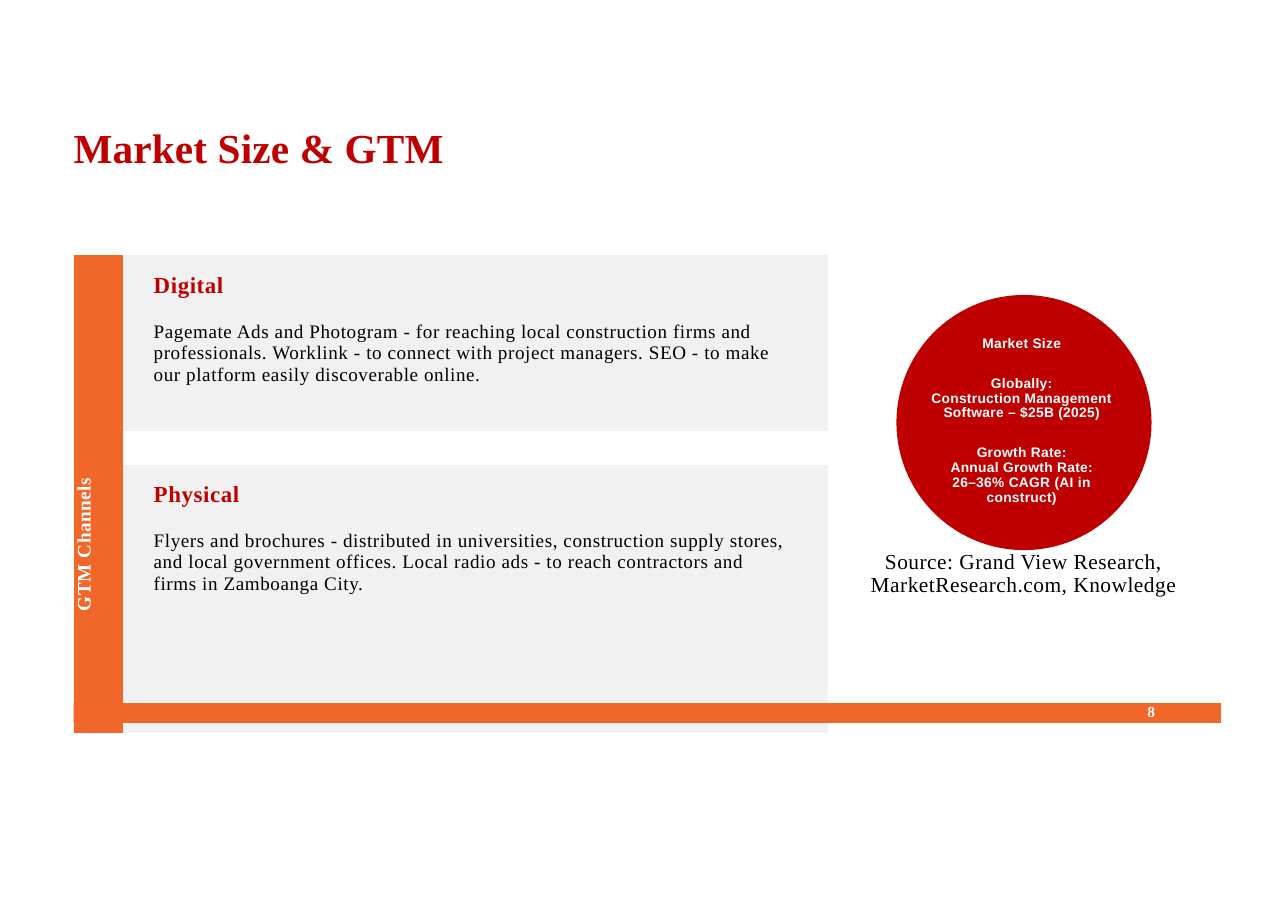
from pptx import Presentation
from pptx.dml.color import RGBColor
from pptx.enum.shapes import MSO_SHAPE
from pptx.enum.text import MSO_ANCHOR, PP_ALIGN
from pptx.util import Cm, Pt

RED, ORANGE, GREY, WHITE, BLACK = "BF0000", "F16629", "F1F1F1", "FFFFFF", "000000"
SERIF, SANS = "Times New Roman", "Arial"
PLAIN_TABLE = "{2D5ABB26-0587-4C30-8999-92F81FD0307C}"


def color(value):
    return RGBColor.from_string(value)


class SlideBuilder:
    def __init__(self, deck):
        self.slide = deck.slides.add_slide(deck.slide_layouts[5])

    def frame(self, frame, top=0, right=0):
        frame.word_wrap = True
        frame.margin_left = frame.margin_bottom = 0
        frame.margin_top, frame.margin_right = Cm(top), Cm(right)
        frame.vertical_anchor = MSO_ANCHOR.TOP
        return frame

    def paragraph(self, para, text, size, ink, name=SERIF, bold=True, spacing=0,
                  align=PP_ALIGN.LEFT, line=None, before=0):
        span = para.add_run()
        span.text = text
        if spacing:
            span.font._element.set("spc", str(round(spacing * 100)))
        para.alignment = align
        para.space_before = Pt(before)
        if line:
            para.line_spacing = Pt(line)
        font = para.font
        font.size, font.name, font.bold = Pt(size), name, bold
        font.color.rgb = color(ink)

    def title(self, text, left, top, width, height):
        box = self.slide.shapes.title
        box.left, box.top, box.width, box.height = map(Cm, (left, top, width, height))
        frame = self.frame(box.text_frame, top=1.19)
        self.paragraph(frame.paragraphs[0], text, 27, RED, spacing=0.1)

    def shape(self, kind, left, top, width, height, fill):
        shape = self.slide.shapes.add_shape(kind, *map(Cm, (left, top, width, height)))
        shape.shadow.inherit = False
        shape.fill.solid()
        shape.fill.fore_color.rgb = color(fill)
        shape.line.fill.background()
        return shape

    def text(self, left, top, width, height, lines, **style):
        """Set lines given as (text, space before)."""
        box = self.slide.shapes.add_textbox(*map(Cm, (left, top, width, height)))
        frame = self.frame(box.text_frame)
        for index, (text, before) in enumerate(lines):
            para = frame.add_paragraph() if index else frame.paragraphs[0]
            self.paragraph(para, text, before=before, **style)

    def table(self, left, top, columns, rows):
        holder = self.slide.shapes.add_table(
            len(rows), len(columns), Cm(left), Cm(top), Cm(sum(columns)), Cm(sum(rows)))
        table = holder.table
        table.first_row = table.horz_banding = False
        table._tbl.tblPr[0].text = PLAIN_TABLE
        for column, width in zip(table.columns, columns):
            column.width = Cm(width)
        for row, height in zip(table.rows, rows):
            row.height = Cm(height)
        for cell in table.iter_cells():
            cell.fill.background()
            cell.margin_left = cell.margin_right = 0
            cell.margin_top = cell.margin_bottom = 0
        return table

    def fill_cell(self, cell, fill):
        cell.fill.solid()
        cell.fill.fore_color.rgb = color(fill)

    def side_cell(self, cell, text, indent):
        self.fill_cell(cell, ORANGE)
        cell._tc.get_or_add_tcPr().set("vert", "vert270")
        cell.vertical_anchor = MSO_ANCHOR.MIDDLE
        para = cell.text_frame.paragraphs[0]
        para._p.get_or_add_pPr().set("marL", str(Cm(indent)))
        self.paragraph(para, text, 12.5, WHITE, spacing=0.4)

    def channel_cell(self, cell, heading, body):
        self.fill_cell(cell, GREY)
        cell.margin_left, cell.margin_top, cell.margin_right = Cm(0.71), Cm(0.41), Cm(0.9)
        frame = cell.text_frame
        self.paragraph(frame.paragraphs[0], heading, 15, RED, spacing=0.4)
        self.paragraph(frame.add_paragraph(), body, 12.5, BLACK, bold=False,
                       spacing=0.4, line=14.1, before=14.6)


def main():
    deck = Presentation()
    deck.slide_width, deck.slide_height = Cm(29.74), Cm(21.03)
    page = SlideBuilder(deck)

    page.title("Market Size & GTM", 1.7, 1.63, 26.49, 2.36)

    # Channels
    channels = page.table(1.7, 5.89, [1.14, 16.28], [4.06, 0.69, 6.2])
    channels.cell(0, 0).merge(channels.cell(2, 0))
    page.side_cell(channels.cell(0, 0), "GTM Channels", 2.82)
    page.channel_cell(
        channels.cell(0, 1), "Digital",
        "Pagemate Ads and Photogram - for reaching local construction firms and "
        "professionals. Worklink - to connect with project managers. SEO - to make "
        "our platform easily discoverable online.")
    page.channel_cell(
        channels.cell(2, 1), "Physical",
        "Flyers and brochures - distributed in universities, construction supply "
        "stores, and local government offices. Local radio ads - to reach contractors "
        "and firms in Zamboanga City.")

    # Market size
    page.shape(MSO_SHAPE.OVAL, 20.7, 6.81, 5.89, 5.89, RED)
    page.text(21.38, 7.77, 4.42, 3.99, [
        ("Market Size", 0),
        ("Globally:", 16.6),
        ("Construction Management Software – $25B (2025)", 0),
        ("Growth Rate:", 16.6),
        ("Annual Growth Rate:", 0),
        ("26–36% CAGR (AI in construct)", 0),
    ], size=9, ink=WHITE, name=SANS, spacing=0.2, align=PP_ALIGN.CENTER, line=9.6)
    page.text(19.99, 12.7, 7.29, 1.22, [
        ("Source: Grand View Research, MarketResearch.com, Knowledge", 0),
    ], size=14, ink=BLACK, bold=False, spacing=0.3, align=PP_ALIGN.CENTER, line=15.4)

    # Footer
    footer = page.shape(MSO_SHAPE.RECTANGLE, 1.7, 16.23, 26.49, 0.46, ORANGE)
    frame = page.frame(footer.text_frame, right=1.52)
    page.paragraph(frame.paragraphs[0], "8", 10, WHITE, align=PP_ALIGN.RIGHT, line=11.6)

    deck.save("out.pptx")


if __name__ == "__main__":
    main()
